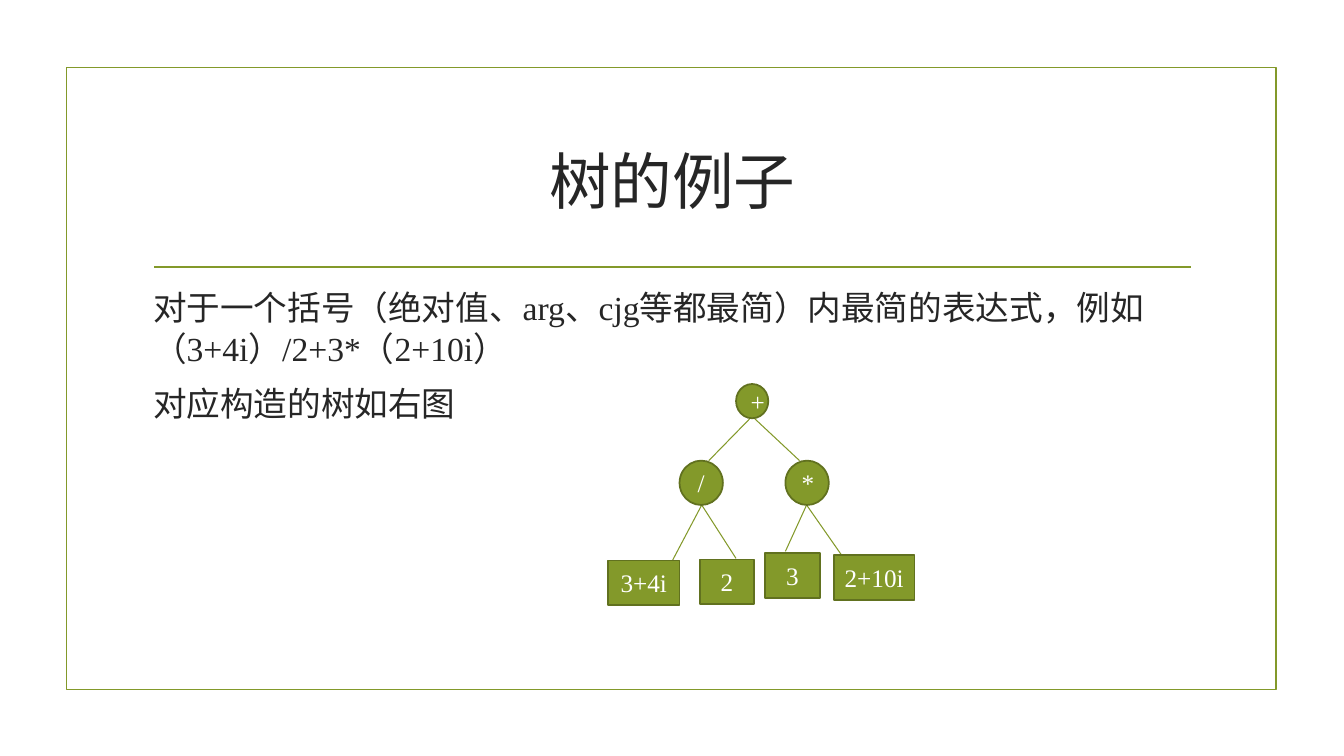
from pptx import Presentation
from pptx.dml.color import RGBColor
from pptx.enum import shapes, text
from pptx.oxml.ns import qn
from pptx.util import Inches, Pt

RECT = shapes.MSO_SHAPE.RECTANGLE
OVAL = shapes.MSO_SHAPE.OVAL


def color(code):
    return RGBColor.from_string(code)


class Page:
    font = "Times New Roman"
    green, edge, ink, white = "83992A", "61711F", "262626", "FFFFFF"

    def __init__(self, deck):
        self.slide = deck.slides.add_slide(deck.slide_layouts[5])

    def style(self, par, size, tint, align):
        par.alignment = align
        par.font.name = self.font
        par.font.size = Pt(size)
        par.font.color.rgb = color(tint)

    def title(self, words, *box):
        head = self.slide.shapes.title
        head.left, head.top, head.width, head.height = map(Inches, box)
        frame = head.text_frame
        frame.text = words
        frame.vertical_anchor = text.MSO_ANCHOR.MIDDLE
        self.style(frame.paragraphs[0], 44, self.ink, text.PP_ALIGN.CENTER)

    def body(self, lines, *box):
        frame = self.slide.shapes.add_textbox(*map(Inches, box)).text_frame
        frame.word_wrap = True
        frame.text = "\n".join(lines)
        for par in frame.paragraphs:
            self.style(par, 24, self.ink, text.PP_ALIGN.LEFT)
            par.space_before, par.space_after = Pt(4.8), Pt(6)

    def shape(self, kind, box, line):
        item = self.slide.shapes.add_shape(kind, *map(Inches, box))
        item.shadow.inherit = False
        item.fill.background()
        item.line.color.rgb = color(line)
        item.line.width = Pt(1.25)
        return item

    def node(self, kind, label, *box):
        """Add a filled tree node with a centred label."""
        item = self.shape(kind, box, self.edge)
        item.fill.solid()
        item.fill.fore_color.rgb = color(self.green)
        frame = item.text_frame
        frame.word_wrap = True
        frame.text = label
        frame.vertical_anchor = text.MSO_ANCHOR.MIDDLE
        self.style(frame.paragraphs[0], 18, self.white, text.PP_ALIGN.CENTER)

    def line(self, start, end, width=0.75):
        item = self.slide.shapes.add_connector(
            shapes.MSO_CONNECTOR.STRAIGHT, *map(Inches, start + end))
        item.line.color.rgb = color(self.green)
        item.line.width = Pt(width)
        props = item._element.spPr
        props.append(props.makeelement(qn("a:effectLst"), {}))


def main():
    deck = Presentation()
    deck.slide_width, deck.slide_height = Inches(13.33), Inches(7.5)
    page = Page(deck)
    page.shape(RECT, (0.66, 0.67, 12, 6.17), page.green)
    page.line((1.53, 2.65), (11.81, 2.65), 1.25)
    page.title("树的例子", 1.42, 1.07, 10.5, 1.43)
    page.body(["对于一个括号（绝对值、arg、cjg等都最简）内最简的表达式，例如 （3+4i）/2+3*（2+10i）",
               "对应构造的树如右图"], 1.42, 2.8, 10.5, 3.63)

    # Branches: each parent point with the points of its two children
    branches = [((7.46, 4.13), (7.03, 4.57), (7.93, 4.57)),
                ((6.96, 5.01), (6.67, 5.56), (7.3, 5.54)),
                ((8, 5.01), (7.79, 5.47), (8.37, 5.54))]
    for root, *ends in branches:
        for end in ends:
            page.line(root, end)

    page.node(OVAL, "+", 7.3, 3.81, 0.32, 0.34)
    for sign, left in (("/", 6.74), ("*", 7.79)):
        page.node(OVAL, sign, left, 4.57, 0.43, 0.44)
    leaves = [("3+4i", 6.03, 5.56, 0.71), ("2", 6.94, 5.55, 0.54),
              ("3", 7.59, 5.49, 0.54), ("2+10i", 8.27, 5.51, 0.8)]
    for label, left, top, width in leaves:
        page.node(RECT, label, left, top, width, 0.44)
    deck.save("out.pptx")


if __name__ == "__main__":
    main()
